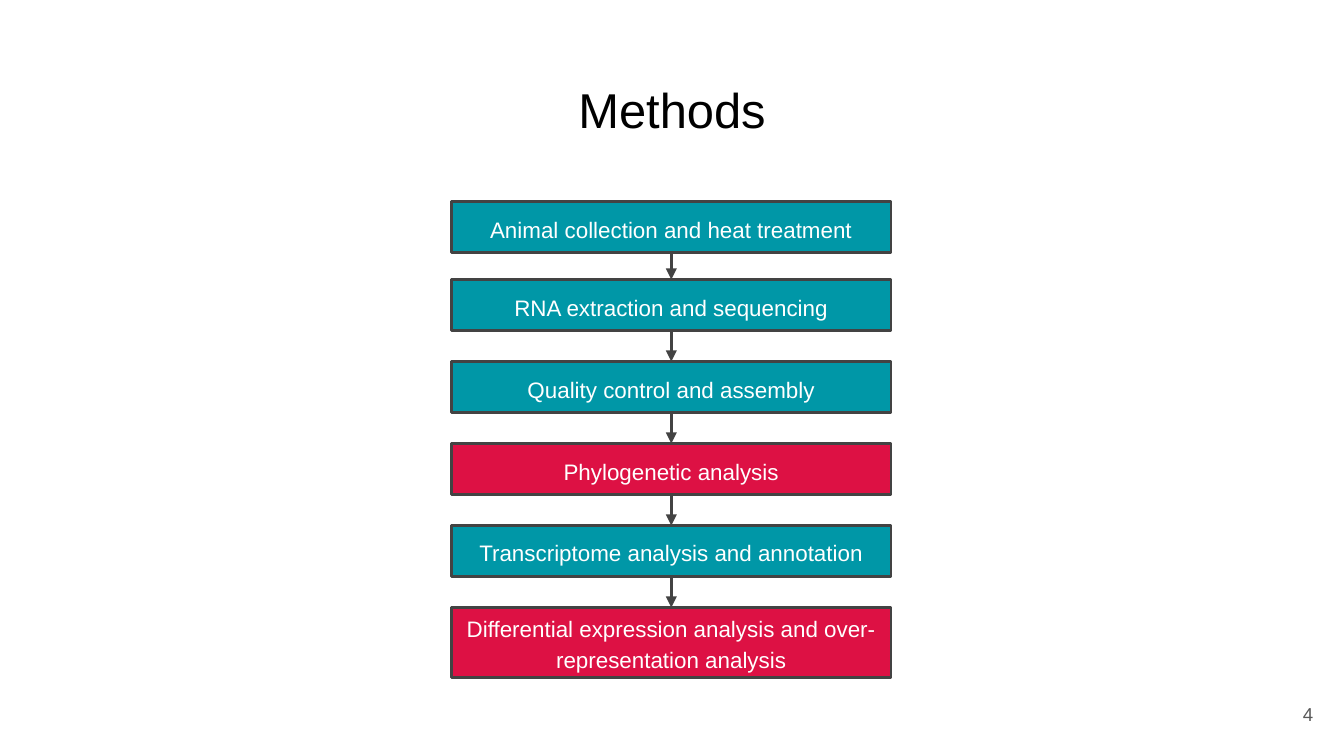
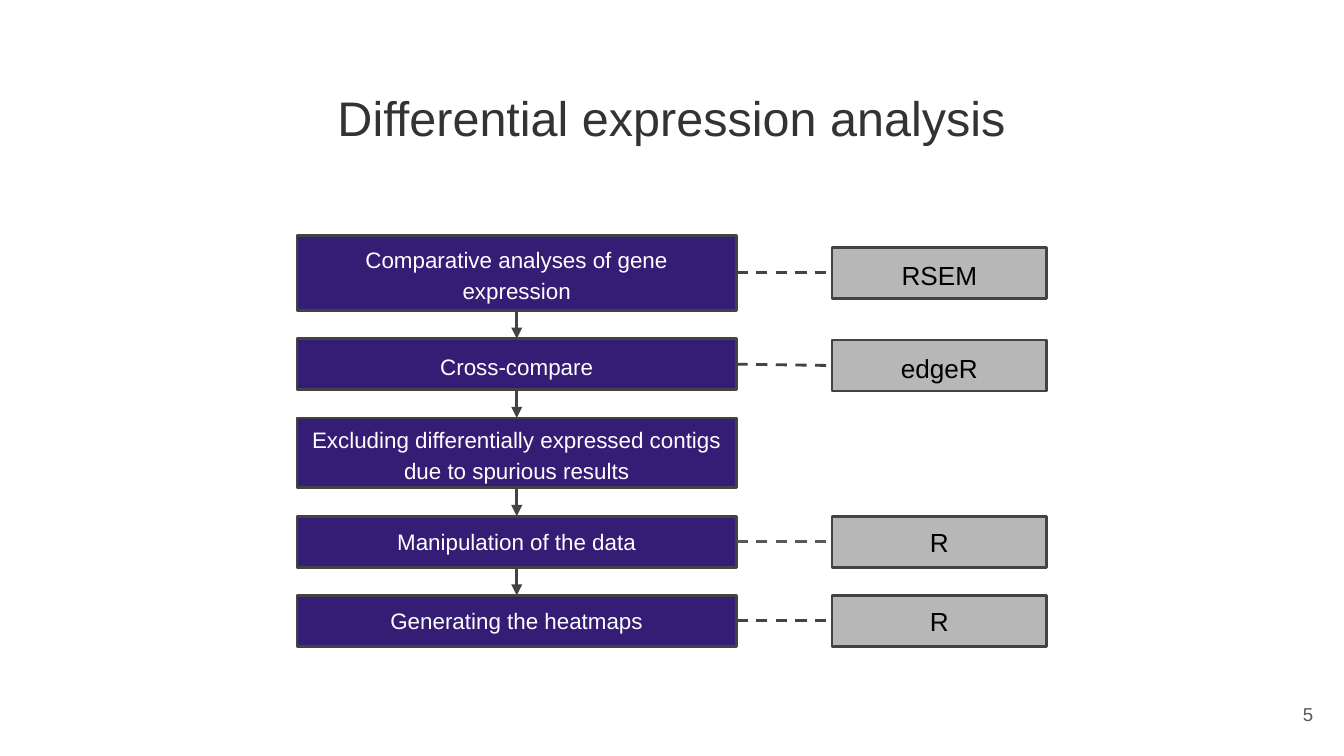
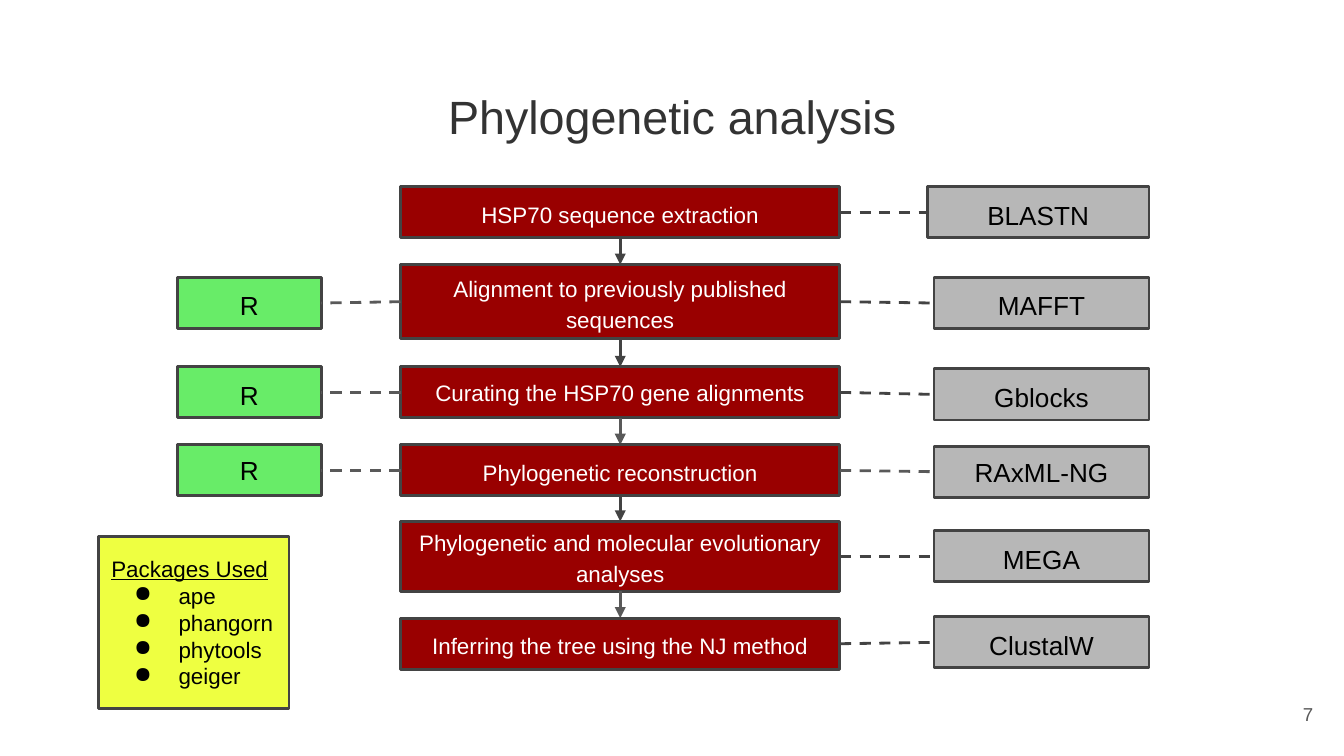
from lxml import etree
from pptx import Presentation
from pptx import util as u
from pptx.dml.color import RGBColor
from pptx.enum import dml, shapes, text
from pptx.oxml.ns import qn

COLOURS = {
    "black": "000000", "title": "333333", "edge": "434343", "soft": "595959",
    "white": "FFFFFF", "teal": "0097A7", "crimson": "DD1144", "purple": "351C75",
    "red": "990000", "grey": "B7B7B7", "green": "68EC68", "yellow": "EEFF41",
}
deck = Presentation()
deck.slide_width, deck.slide_height = u.Inches(10), u.Inches(5.625)

# Square grid: 100 columns across the slide, 56.25 rows down. All places use it.
CELL = deck.slide_width / 100
STEP_WIDTH, LOW, MID, TALL = 32.7, 3.8, 5.2, 5.6
TOOL_WIDTH, PACKAGE_WIDTH = 16, 10.7
SPACED = {"line_spacing": 1.15, "space_before": u.Pt(12), "space_after": u.Pt(12)}
TIGHT = {}
CENTRE, RIGHT, LEFT = text.PP_ALIGN.CENTER, text.PP_ALIGN.RIGHT, text.PP_ALIGN.LEFT


def add_box(slide, area, lines, size, colour, fill=None, spacing=TIGHT, align=CENTRE, middle=True):
    """Put lines of text in an area of the grid, in a filled box if a fill is given."""
    place = [round(part * CELL) for part in area]
    if fill:
        box = slide.shapes.add_shape(shapes.MSO_SHAPE.RECTANGLE, *place)
        box.shadow.inherit = False
        box.fill.solid()
        box.fill.fore_color.rgb = RGBColor.from_string(COLOURS[fill])
        box.line.color.rgb = RGBColor.from_string(COLOURS["edge"])
        box.line.width = u.Pt(1.5)
    else:
        box = slide.shapes.add_textbox(*place)
    frame = box.text_frame
    anchor = text.MSO_ANCHOR.MIDDLE if middle else text.MSO_ANCHOR.TOP
    frame_format = {"word_wrap": True, "vertical_anchor": anchor}
    frame_format |= {f"margin_{side}": u.Inches(0.1) for side in ("left", "right", "top", "bottom")}
    for key, value in frame_format.items():
        setattr(frame, key, value)
    frame.text = "\n".join(lines)
    for paragraph in frame.paragraphs:
        for key, value in {"alignment": align, **spacing}.items():
            setattr(paragraph, key, value)
        font = paragraph.runs[0].font
        for key, value in {"name": "Arial", "size": u.Pt(size)}.items():
            setattr(font, key, value)
        font.color.rgb = RGBColor.from_string(COLOURS[colour])
    return frame


def add_link(slide, start, end, colour, dashed):
    """Join two grid points by a dashed line or by an arrow."""
    link = slide.shapes.add_connector(
        shapes.MSO_CONNECTOR.STRAIGHT, *[round(part * CELL) for part in (*start, *end)])
    link.line.color.rgb = RGBColor.from_string(COLOURS[colour])
    link.line.width = u.Pt(1.5)
    if dashed:
        link.line.dash_style = dml.MSO_LINE.DASH
    else:
        etree.SubElement(link.line._get_or_add_ln(), qn("a:tailEnd"), type="triangle")
    etree.SubElement(link._element.spPr, qn("a:effectLst"))


# A step: text, height, fill, spacing, colour of the arrow that leaves it.
# A tool: step number, text, drop below the step's middle, spacing, line colour.
flows = [
    {
        "title": ("Methods", 26.2, "black", TIGHT), "page": "4",
        "left": 33.6, "top": 15, "gaps": [2, 2.3, 2.3, 2.3, 2.3],
        "steps": [
            ("Animal collection and heat treatment", LOW, "teal", SPACED, "edge"),
            ("RNA extraction and sequencing", LOW, "teal", SPACED, "edge"),
            ("Quality control and assembly", LOW, "teal", SPACED, "edge"),
            ("Phylogenetic analysis", LOW, "crimson", SPACED, "edge"),
            ("Transcriptome analysis and annotation", LOW, "teal", SPACED, "edge"),
            ("Differential expression analysis and over-representation analysis",
             MID, "crimson", SPACED, "edge"),
        ],
        "tools": [], "packages": [],
    },
    {
        "title": ("Differential expression analysis", 26, "title", SPACED), "page": "5",
        "left": 22.1, "top": 17.5, "gaps": [2.1] * 4, "tool_right": 77.9,
        "steps": [
            ("Comparative analyses of gene expression", TALL, "purple", SPACED, "edge"),
            ("Cross-compare", LOW, "purple", SPACED, "edge"),
            ("Excluding differentially expressed contigs due to spurious results",
             MID, "purple", SPACED, "edge"),
            ("Manipulation of the data", LOW, "purple", TIGHT, "edge"),
            ("Generating the heatmaps", LOW, "purple", TIGHT, "edge"),
        ],
        "tools": [
            (0, "RSEM", 0, SPACED, "edge"), (1, "edgeR", 0.1, SPACED, "edge"),
            (3, "R", 0, TIGHT, "soft"), (4, "R", 0, TIGHT, "edge"),
        ],
        "packages": [],
    },
    {
        "title": ("Phylogenetic analysis", 25, "title", SPACED), "page": "7",
        "left": 29.8, "top": 13.9, "gaps": [2, 2.1, 2, 1.9, 2], "tool_right": 85.5,
        "steps": [
            ("HSP70 sequence extraction", LOW, "red", SPACED, "edge"),
            ("Alignment to previously published sequences", 5.5, "red", SPACED, "edge"),
            ("Curating the HSP70 gene alignments", LOW, "red", TIGHT, "soft"),
            ("Phylogenetic reconstruction", LOW, "red", SPACED, "edge"),
            ("Phylogenetic and molecular evolutionary analyses", MID, "red", SPACED, "soft"),
            ("Inferring the tree using the NJ method", LOW, "red", SPACED, "edge"),
        ],
        "tools": [
            (0, "BLASTN", 0, SPACED, "edge"), (1, "MAFFT", 0.1, SPACED, "edge"),
            (2, "Gblocks", 0.15, SPACED, "edge"), (3, "RAxML-NG", 0.1, TIGHT, "soft"),
            (4, "MEGA", 0, SPACED, "edge"), (5, "ClustalW", -0.1, SPACED, "edge"),
        ],
        "packages": [(1, "R", 0.1, SPACED), (2, "R", 0, SPACED), (3, "R", 0, TIGHT)],
    },
]

for flow in flows:
    slide = deck.slides.add_slide(deck.slide_layouts[6])
    heading, heading_size, heading_colour, heading_spacing = flow["title"]
    add_box(slide, (3.4, 4.9, 93.2, 6.3), [heading], heading_size, heading_colour,
            spacing=heading_spacing, middle=False)
    add_box(slide, (92.7, 51, 6, 4.3), [flow["page"]], 10, "soft", align=RIGHT)

    left, top = flow["left"], flow["top"]
    right, axis = left + STEP_WIDTH, left + STEP_WIDTH / 2
    middles = []
    for (label, height, fill, spacing, arrow), gap in zip(flow["steps"], flow["gaps"] + [0]):
        add_box(slide, (left, top, STEP_WIDTH, height), [label], 12, "white", fill, spacing)
        middles.append(top + height / 2)
        bottom = top + height
        top = bottom + gap
        if gap:
            add_link(slide, (axis, bottom), (axis, top), arrow, dashed=False)

    for step, label, drop, spacing, line in flow["tools"]:
        width = TOOL_WIDTH + (0.5 if label == "BLASTN" else 0)
        tool_left, middle = flow["tool_right"] - width, middles[step] + drop
        add_box(slide, (tool_left, middle - LOW / 2, width, LOW), [label], 14, "black",
                "grey", spacing)
        add_link(slide, (right, middles[step]), (tool_left, middle), line, dashed=True)

    for step, label, drop, spacing in flow["packages"]:
        middle = middles[step] + drop
        add_box(slide, (13.2, middle - LOW / 2, PACKAGE_WIDTH, LOW), [label], 14, "black",
                "green", spacing)
        add_link(slide, (left, middles[step]), (13.2 + PACKAGE_WIDTH, middle), "soft", dashed=True)

# The last slide also lists the packages.
legend = add_box(slide, (7.3, 39.9, 14.2, 12.8),
                 ["Packages Used", "ape", "phangorn", "phytools", "geiger"],
                 12, "black", "yellow", align=LEFT)
legend.paragraphs[0].runs[0].font.underline = True
for package in legend.paragraphs[1:]:
    properties = package._p.get_or_add_pPr()
    properties.set("marL", str(u.Inches(0.5)))
    properties.set("indent", str(u.Inches(-0.33)))
    bullet_colour = etree.SubElement(properties, qn("a:buClr"))
    etree.SubElement(bullet_colour, qn("a:srgbClr"), val=COLOURS["black"])
    etree.SubElement(properties, qn("a:buChar"), char="●")

deck.save("out.pptx")
